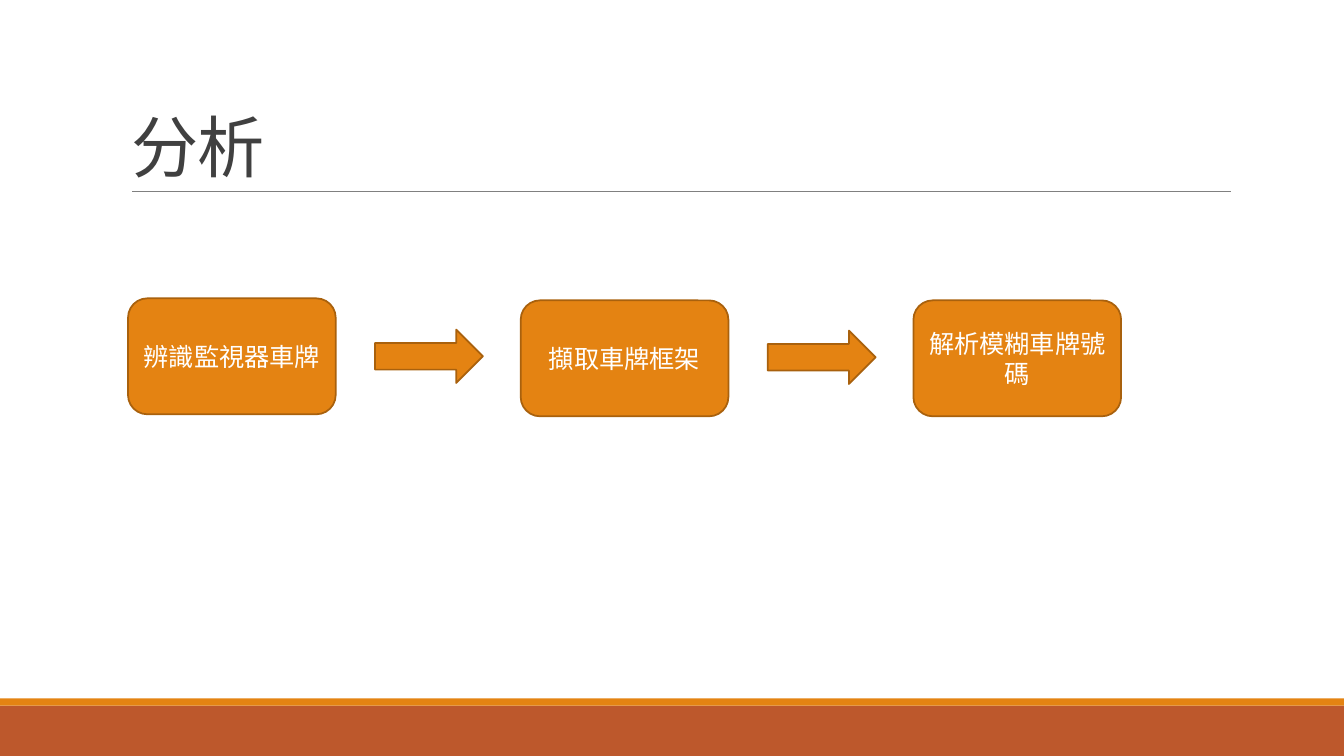
from pptx import Presentation
from pptx import util as u
from pptx.dml.color import RGBColor
from pptx.enum import shapes, text

ORANGE, RUST, EDGE = "E48312", "BD582C", "A9610D"
STEPS = [("辨識監視器車牌", 2.96), ("擷取車牌框架", 2.98), ("解析模糊車牌號碼", 2.98)]
ARROWS = [3.27, 3.28]
LEFT, PITCH = 1.27, 3.895
KIND = shapes.MSO_SHAPE


def paint(fmt, color):
    """Give a fill a solid colour."""
    fmt.solid()
    fmt.fore_color.rgb = RGBColor.from_string(color)


def apply(item, values):
    """Set attributes from a dict of format values."""
    for name, value in values.items():
        setattr(item, name, value)


def write(shape, words, size, color, frame, para):
    """Put one formatted line of text in a shape."""
    box = shape.text_frame
    apply(box, {"word_wrap": True, "auto_size": text.MSO_AUTO_SIZE.NONE, **frame})
    line = box.paragraphs[0]
    apply(line, para)
    run = line.add_run()
    run.text = words
    apply(run.font, {"name": "Calibri", "size": u.Pt(size)})
    paint(run.font.fill, color)
    return run


def block(slide, kind, at, fill, edge=None):
    """Add a filled preset shape with an optional outline."""
    shape = slide.shapes.add_shape(kind, *map(u.Inches, at))
    shape.shadow.inherit = False
    paint(shape.fill, fill)
    if edge:
        paint(shape.line.fill, edge)
        shape.line.width = u.Pt(1.25)
    else:
        shape.line.fill.background()
    return shape


def rule(slide, start, end):
    """Draw the thin grey line under the title."""
    line = slide.shapes.add_connector(
        shapes.MSO_CONNECTOR.STRAIGHT, *map(u.Inches, start + end))
    paint(line.line.fill, "808080")
    line.line.width = u.Pt(0.5)
    props = line._element.spPr
    props.append(props.makeelement(
        "{http://schemas.openxmlformats.org/drawingml/2006/main}effectLst", {}))


def head(slide, words):
    """Place and format the title."""
    title = slide.shapes.title
    apply(title, {"left": u.Inches(1.2), "top": u.Inches(0.31),
                  "width": u.Inches(11), "height": u.Inches(1.59)})
    run = write(title, words, 48, "404040",
                {"vertical_anchor": text.MSO_ANCHOR.BOTTOM},
                {"alignment": text.PP_ALIGN.LEFT, "line_spacing": 0.85})
    run.font._element.set("spc", "-50")


def step(slide, words, left, top):
    """Add one rounded step of the flow."""
    shape = block(slide, KIND.ROUNDED_RECTANGLE, (left, top, 2.06, 1.15), ORANGE, EDGE)
    write(shape, words, 18, "FFFFFF",
          {"vertical_anchor": text.MSO_ANCHOR.MIDDLE},
          {"alignment": text.PP_ALIGN.CENTER})


def main():
    """Build the slide and save it."""
    deck = Presentation()
    apply(deck, {"slide_width": u.Inches(13.33), "slide_height": u.Inches(7.5)})
    slide = deck.slides.add_slide(deck.slide_layouts[5])
    block(slide, KIND.RECTANGLE, (0, 7, 13.33, 0.5), RUST)
    block(slide, KIND.RECTANGLE, (0, 6.93, 13.33, 0.07), ORANGE)
    rule(slide, (1.31, 1.9), (12.21, 1.9))
    head(slide, "分析")
    for i, (words, top) in enumerate(STEPS):
        step(slide, words, LEFT + i * PITCH, top)
    for i, top in enumerate(ARROWS):
        block(slide, KIND.RIGHT_ARROW, (LEFT + 2.45 + i * PITCH, top, 1.07, 0.53),
              ORANGE, EDGE)
    deck.save("out.pptx")


if __name__ == "__main__":
    main()
